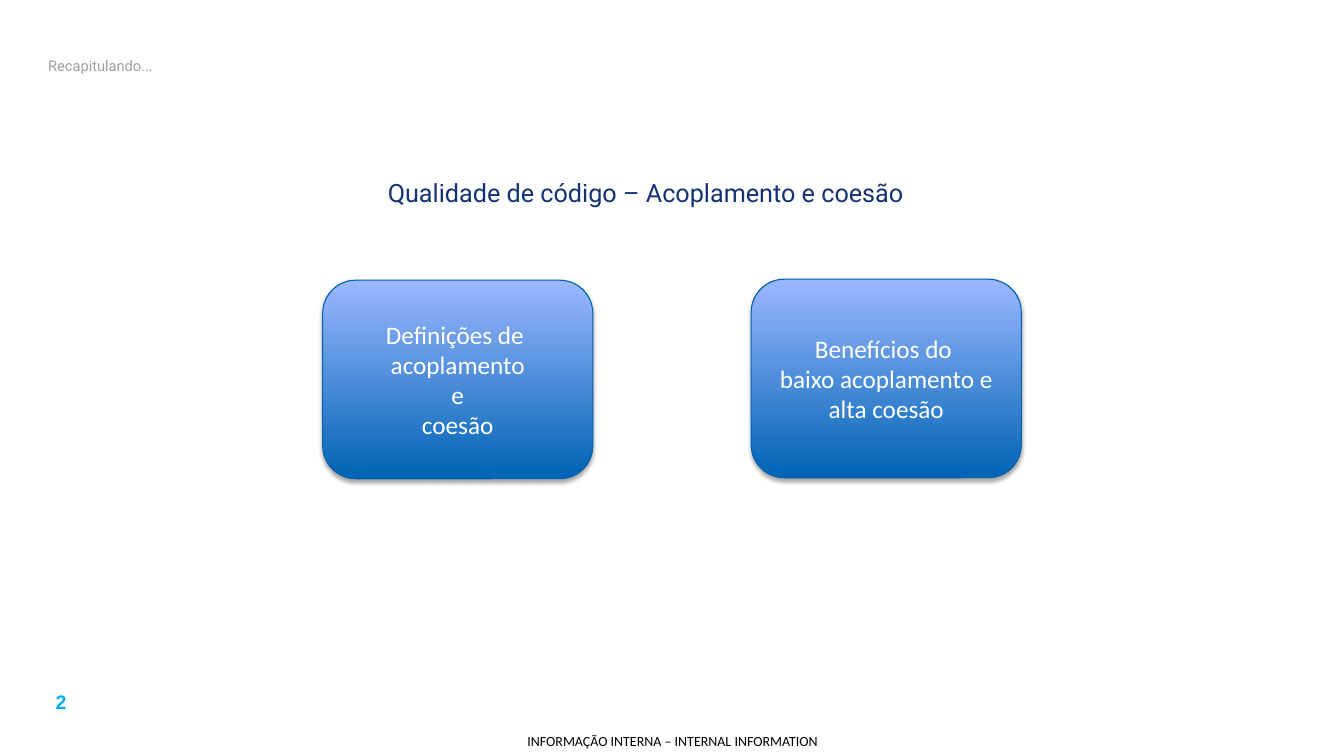
from lxml.etree import SubElement
from pptx import Presentation
from pptx.dml.color import RGBColor
from pptx.enum.shapes import MSO_SHAPE
from pptx.enum.text import MSO_ANCHOR, PP_ALIGN
from pptx.oxml.ns import qn
from pptx.util import Inches, Pt


def color(value):
    return RGBColor.from_string(value)


class SlideBuilder:
    box_font = "Calibri"
    box_size = 18
    box_width, box_height = 2.68, 1.97
    box_line = "0062B0"
    box_gradient = ("0064B4", "9BB7FF")

    def __init__(self, slide):
        self.slide = slide

    def add_lines(self, shape, lines, font, size, fill, align, anchor, bold=False):
        frame = shape.text_frame
        frame.word_wrap = True
        frame.vertical_anchor = anchor
        for index, line in enumerate(lines):
            paragraph = frame.add_paragraph() if index else frame.paragraphs[0]
            paragraph.alignment = align
            run = paragraph.add_run()
            run.text = line
            run.font.name = font
            run.font.size = Pt(size)
            run.font.bold = bold
            run.font.color.rgb = color(fill)

    def text(self, position, line, font, size, fill, align=PP_ALIGN.CENTER,
             anchor=MSO_ANCHOR.MIDDLE, bold=False, inset=True):
        shape = self.slide.shapes.add_textbox(*map(Inches, position))
        if not inset:
            frame = shape.text_frame
            frame.margin_left = frame.margin_right = 0
            frame.margin_top = frame.margin_bottom = 0
        self.add_lines(shape, [line], font, size, fill, align, anchor, bold)

    def box(self, left, top, lines):
        shape = self.slide.shapes.add_shape(
            MSO_SHAPE.ROUNDED_RECTANGLE, Inches(left), Inches(top),
            Inches(self.box_width), Inches(self.box_height))
        shape.fill.gradient()
        shape.fill.gradient_angle = 90
        for stop, value in zip(shape.fill.gradient_stops, self.box_gradient):
            stop.color.rgb = color(value)
        shape.line.color.rgb = color(self.box_line)
        shape.line.width = Pt(0.75)
        self.drop_shadow(shape)
        self.add_lines(shape, lines, self.box_font, self.box_size, "FFFFFF",
                       PP_ALIGN.CENTER, MSO_ANCHOR.MIDDLE)

    def drop_shadow(self, shape):
        shape.shadow.inherit = False
        effects = shape.element.spPr.find(qn("a:effectLst"))
        shadow = SubElement(effects, qn("a:outerShdw"), blurRad=str(Pt(3.1)),
                            dist=str(Pt(1.8)), dir="5400000", rotWithShape="0")
        tint = SubElement(shadow, qn("a:srgbClr"), val="000000")
        SubElement(tint, qn("a:alpha"), val="35000")


def main():
    presentation = Presentation()
    presentation.slide_width = Inches(13.33)
    presentation.slide_height = Inches(7.5)
    builder = SlideBuilder(presentation.slides.add_slide(presentation.slide_layouts[6]))

    builder.text((0.21, 6.8, 0.79, 0.34), "2", "Arial", 14, "00B0F0",
                 anchor=MSO_ANCHOR.TOP, bold=True)
    builder.text((5.03, 7.21, 3.28, 0.29), "INFORMAÇÃO INTERNA – INTERNAL INFORMATION",
                 "Calibri", 10, "000000", inset=False)
    builder.text((0.37, 1.56, 12.07, 0.69), "Qualidade de código – Acoplamento e coesão",
                 "Roboto", 18, "123274")
    builder.text((0.38, 0.41, 11.88, 0.48), "Recapitulando...", "Roboto", 10.5, "9BA0A0",
                 align=PP_ALIGN.LEFT)
    builder.box(3.2, 2.78, ["Definições de ", "acoplamento", "e", "coesão"])
    builder.box(7.45, 2.77, ["Benefícios do ", "baixo acoplamento e alta coesão"])

    presentation.save("out.pptx")


if __name__ == "__main__":
    main()
